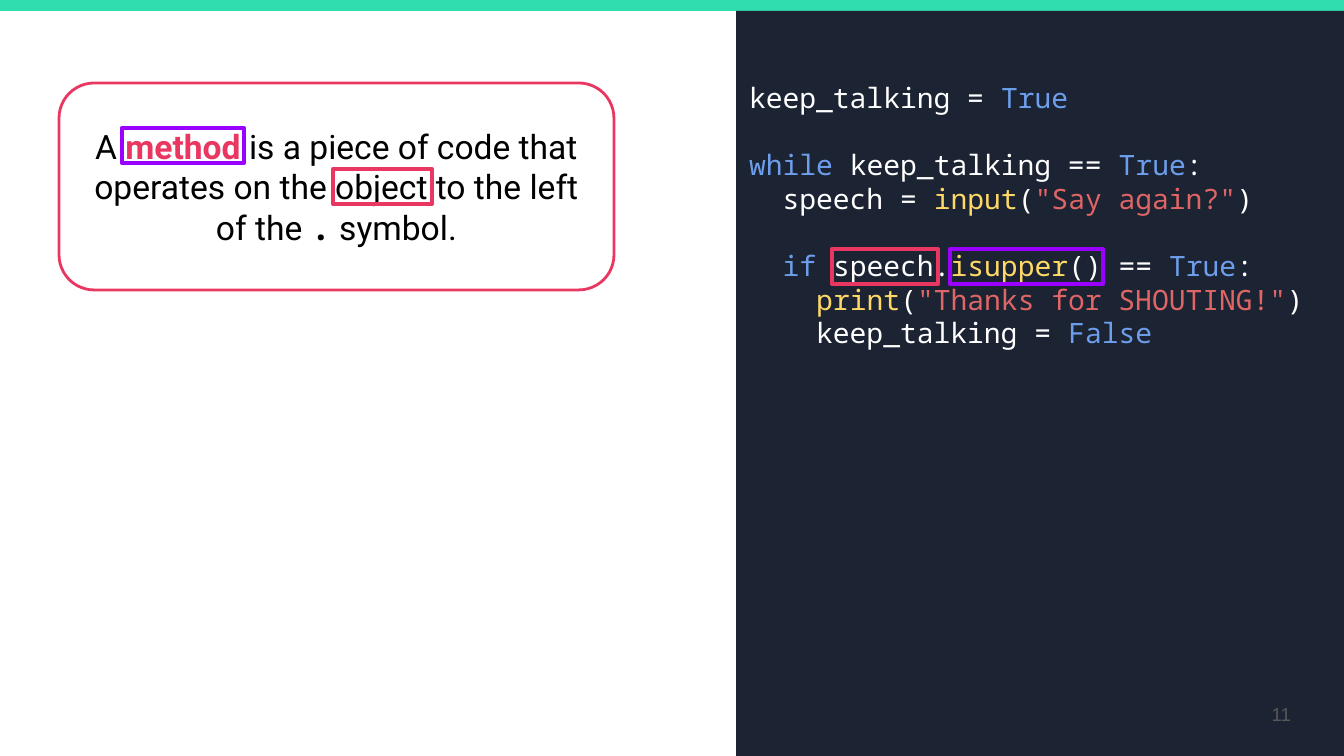
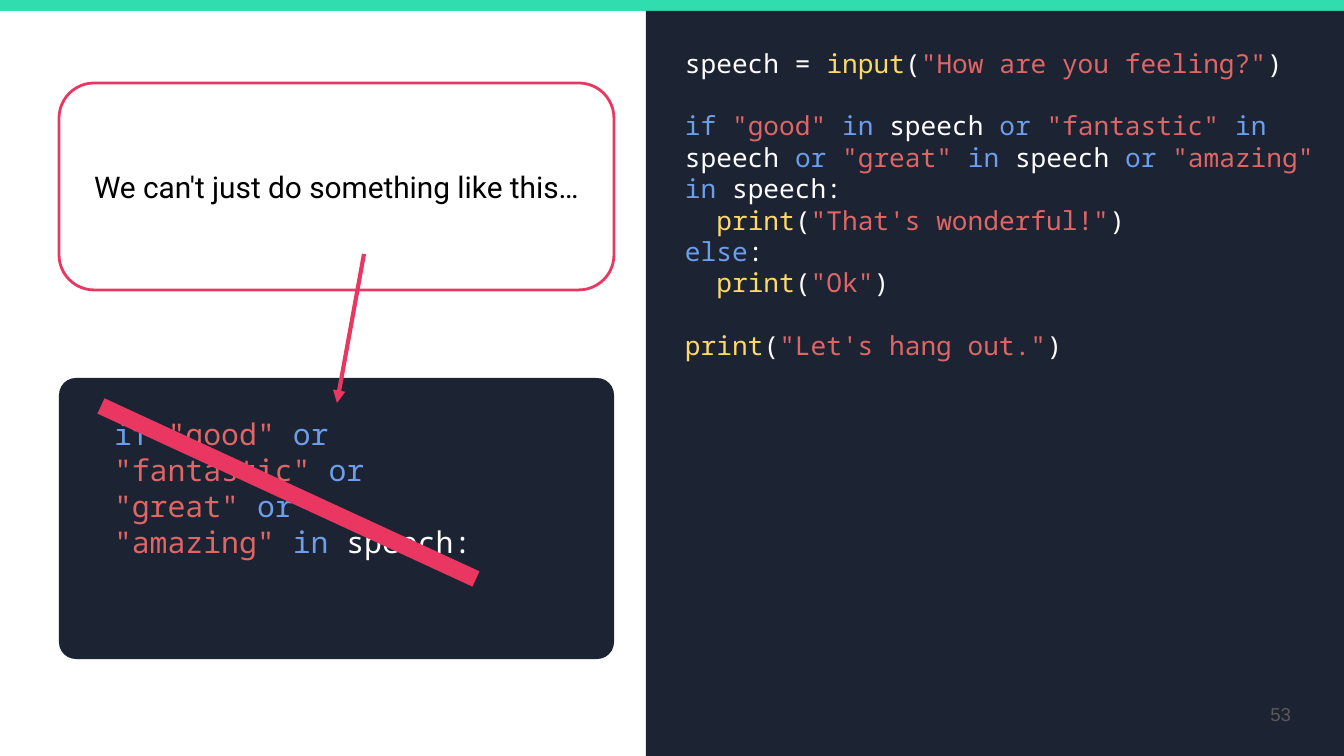
import itertools

import pptx
import pptx.dml.color
import pptx.enum.shapes
import pptx.enum.text
import pptx.oxml.ns
import pptx.util
from lxml import etree

RGB = pptx.dml.color.RGBColor
SHAPE = pptx.enum.shapes.MSO_SHAPE
ALIGN = pptx.enum.text.PP_ALIGN
ANCHOR = pptx.enum.text.MSO_ANCHOR

GREEN = RGB(0x30, 0xDD, 0xAE)
PINK = RGB(0xE9, 0x37, 0x61)
PURPLE = RGB(0x99, 0x00, 0xFF)
NAVY = RGB(0x1C, 0x23, 0x33)
WHITE = RGB(0xFF, 0xFF, 0xFF)
BLACK = RGB(0x00, 0x00, 0x00)
GRAY = RGB(0x59, 0x59, 0x59)
BLUE = RGB(0x6D, 0x9E, 0xEB)
YELLOW = RGB(0xFF, 0xD9, 0x66)
RED = RGB(0xE0, 0x66, 0x66)

PROSE, CODE, PLAIN = "Roboto", "Noto Sans Mono", "Arial"
KEYWORDS = {"True", "False", "while", "if", "else", "in", "or"}
FUNCTIONS = {"input", "print", "isupper"}

WIDTH, HEIGHT = 1344, 756
BAND = 11
INSET = 13
LINE_SPACING = 1.2
CARD = (59, 83, 555, 207)
SNIPPET_CARD = (59, 378, 555, 281)
SNIPPET_TEXT = (101, 403, 473, 160)
NUMBER = (1223, 685, 81, 58)
MARK_HEIGHT = 35

SLIDES = [
    {
        "number": "11",
        "prose": [
            ("A ", BLACK, PROSE, False),
            ("method", PINK, PROSE, True),
            (" is a piece of code that operates on the object to the left of the ", BLACK, PROSE, False),
            (".", BLACK, CODE, True),
            (" symbol.", BLACK, PROSE, False),
        ],
        "prose_size": 18,
        "panel_left": 736,
        "code_box": (736, 34, 609, 652),
        "code_size": 15,
        "code": """
keep_talking = True

while keep_talking == True:
  speech = input("Say again?")

  if speech.isupper() == True:
    print("Thanks for SHOUTING!")
    keep_talking = False""",
        "marks": [
            (950, 249, 153, PURPLE),
            (122, 128, 122, PURPLE),
            (832, 249, 106, PINK),
            (333, 169, 99, PINK),
        ],
    },
    {
        "number": "53",
        "prose": [("We can't just do something like this…", BLACK, PROSE, False)],
        "prose_size": 16,
        "panel_left": 646,
        "code_box": (672, 34, 659, 652),
        "code_size": 14,
        "code": """speech = input("How are you feeling?")

if "good" in speech or "fantastic" in speech or "great" in speech or "amazing" in speech:
  print("That's wonderful!")
else:
  print("Ok")

print("Let's hang out.")""",
        "snippet": """if "good" or
"fantastic" or
"great" or
"amazing" in speech:""",
        "lines": [
            ((101, 406), (476, 579), 9, False),
            ((364, 254), (337, 403), 2.25, True),
        ],
    },
]


def px(n):
    return pptx.util.Emu(round(n * 914400 / 134.4))


def add_box(s, kind, box, fill=None, line=None, width=1.5, radius=None):
    sp = s.shapes.add_shape(kind, *map(px, box))
    sp.shadow.inherit = False
    if radius is not None:
        sp.adjustments[0] = radius
    if fill is None:
        sp.fill.background()
    else:
        sp.fill.solid()
        sp.fill.fore_color.rgb = fill
    if line is None:
        sp.line.fill.background()
    else:
        sp.line.color.rgb = line
        sp.line.width = pptx.util.Pt(width)
    return sp


def text_frame(sp, anchor):
    tf = sp.text_frame
    tf.word_wrap = True
    tf.vertical_anchor = anchor
    tf.margin_left = tf.margin_right = tf.margin_top = tf.margin_bottom = px(INSET)
    return tf


def add_text(s, box, anchor=ANCHOR.TOP):
    return text_frame(s.shapes.add_textbox(*map(px, box)), anchor)


def word_color(word):
    if word in KEYWORDS:
        return BLUE
    return YELLOW if word in FUNCTIONS else WHITE


def tokens(line):
    for i, part in enumerate(line.split('"')):
        if i % 2:
            yield f'"{part}"', RED
        else:
            for _, chars in itertools.groupby(part, lambda c: c.isalnum() or c == "_"):
                word = "".join(chars)
                yield word, word_color(word)


def add_code(s, box, code, size):
    tf = add_text(s, box)
    gap = pptx.util.Pt(size * LINE_SPACING)
    p, blank = None, False
    for line in code.split("\n"):
        if not line:
            blank = True
            continue
        if p is None:
            p = tf.paragraphs[0]
            if blank:
                tf.margin_top += gap
        else:
            p = tf.add_paragraph()
            if blank:
                p.space_before = gap
        blank = False
        p.font.name = CODE
        p.font.size = pptx.util.Pt(size)
        for color, group in itertools.groupby(tokens(line), lambda t: t[1]):
            r = p.add_run()
            r.text = "".join(word for word, _ in group)
            r.font.color.rgb = color


def add_prose(s, runs, size):
    sp = add_box(s, SHAPE.ROUNDED_RECTANGLE, CARD, WHITE, PINK, radius=0.17)
    p = text_frame(sp, ANCHOR.MIDDLE).paragraphs[0]
    p.alignment = ALIGN.CENTER
    p.font.size = pptx.util.Pt(size)
    for text, color, font, bold in runs:
        r = p.add_run()
        r.text = text
        r.font.name = font
        r.font.bold = bold
        r.font.color.rgb = color


def add_number(s, number):
    p = add_text(s, NUMBER, ANCHOR.MIDDLE).paragraphs[0]
    p.text = number
    p.alignment = ALIGN.RIGHT
    p.font.name = PLAIN
    p.font.size = pptx.util.Pt(10)
    p.font.color.rgb = GRAY


def add_line(s, start, end, width, arrow):
    c = s.shapes.add_connector(
        pptx.enum.shapes.MSO_CONNECTOR.STRAIGHT, *map(px, start + end))
    c.line.color.rgb = PINK
    c.line.width = pptx.util.Pt(width)
    qn = pptx.oxml.ns.qn
    props = c._element.spPr
    if arrow:
        etree.SubElement(props.find(qn("a:ln")), qn("a:tailEnd"), type="triangle")
    etree.SubElement(props, qn("a:effectLst"))


def add_slide(prs, content):
    s = prs.slides.add_slide(prs.slide_layouts[6])
    add_box(s, SHAPE.RECTANGLE, (-1, 0, WIDTH + 2, BAND), GREEN)
    add_prose(s, content["prose"], content["prose_size"])
    left = content["panel_left"]
    add_box(s, SHAPE.RECTANGLE, (left, BAND, WIDTH + 1 - left, HEIGHT - BAND), NAVY)
    add_code(s, content["code_box"], content["code"], content["code_size"])
    if "snippet" in content:
        add_box(s, SHAPE.ROUNDED_RECTANGLE, SNIPPET_CARD, NAVY, radius=0.06)
        add_code(s, SNIPPET_TEXT, content["snippet"], 16)
    add_number(s, content["number"])
    for x, y, w, color in content.get("marks", []):
        add_box(s, SHAPE.RECTANGLE, (x, y, w, MARK_HEIGHT), line=color, width=2.25)
    for line in content.get("lines", []):
        add_line(s, *line)


def main():
    prs = pptx.Presentation()
    prs.slide_width, prs.slide_height = px(WIDTH), px(HEIGHT)
    for content in SLIDES:
        add_slide(prs, content)
    prs.save("out.pptx")


if __name__ == "__main__":
    main()
